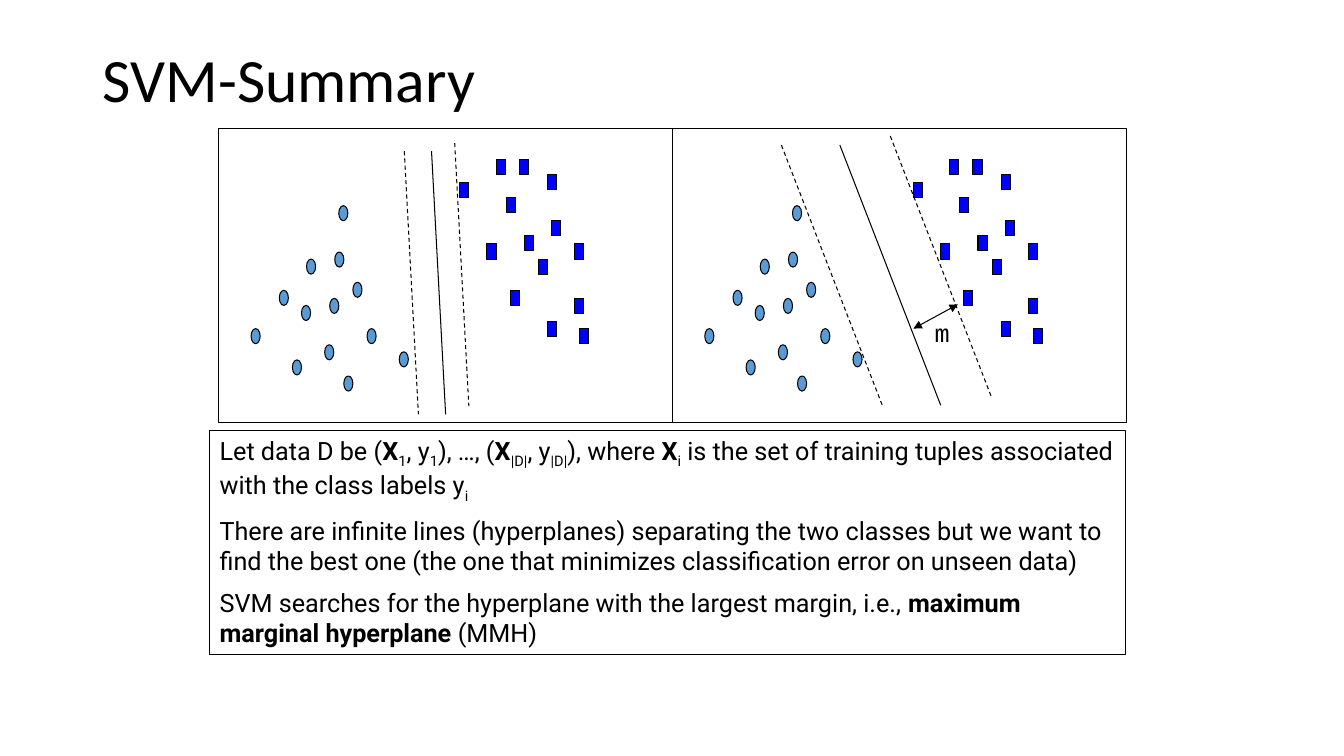
from dataclasses import dataclass
from pptx import Presentation
from pptx.dml.color import RGBColor
from pptx.enum.dml import MSO_LINE
from pptx.enum.shapes import MSO_CONNECTOR, MSO_SHAPE
from pptx.enum.text import MSO_ANCHOR, PP_ALIGN
from pptx.oxml.ns import qn
from pptx.util import Pt
from lxml.etree import SubElement


@dataclass(frozen=True)
class Theme:
    ink: RGBColor = RGBColor(0, 0, 0)
    dot: RGBColor = RGBColor(0x5B, 0x9B, 0xD5)
    box: RGBColor = RGBColor(0, 0, 0xFF)
    head: str = "Calibri"
    body: str = "Roboto"
    mono: str = "Courier New"
    big: int = 44
    text: int = 18
    gap: int = 8
    line: float = 0.75


THEME = Theme()
EMU = 9144
SLIDE = (1333, 750)
TITLE = ("SVM-Summary", (92, 9, 1150, 145))
LABEL = ("m", (917, 310, 58, 40))
NOTE = (208, 427, 908, 222)
PANEL = (217, 127, 450, 292)
MARK = (9, 15)
DOTS = [(73, 230), (82, 176), (32, 199), (60, 161), (105, 215), (87, 130),
        (110, 169), (115, 123), (133, 153), (147, 199), (124, 246),
        (179, 222), (119, 77)]
BOXES = [(266, 115), (239, 54), (275, 31), (289, 161), (285, 69), (303, 107),
         (298, 31), (326, 46), (317, 130), (330, 92), (326, 192), (353, 115),
         (353, 169), (358, 199)]
PLOTS = [
    {"step": (14, 261),
     "lines": [((234, 15), True), ((184, 23), True), ((211, 23), False)]},
    {"step": (100, 258),
     "lines": [((108, 17), True), ((216, 8), True), ((166, 17), False)]},
]
WIDTH = ((906, 326), (950, 302))
NOTES = [
    [("Let data D be (", ""), ("X", "bold"), ("1", "sub"), (", y", ""),
     ("1", "sub"), ("), …, (", ""), ("X", "bold"), ("|D|", "sub"),
     (", y", ""), ("|D|", "sub"), ("), where ", ""), ("X", "bold"),
     ("i", "sub"),
     (" is the set of training tuples associated with the class labels y", ""),
     ("i", "sub")],
    [("There are infinite lines (hyperplanes) separating the two classes but "
      "we want to find the best one (the one that minimizes classification "
      "error on unseen data)", "")],
    [("SVM searches for the hyperplane with the largest margin, i.e., ", ""),
     ("maximum marginal hyperplane", "bold"), (" (MMH)", "")],
]


def emu(nums):
    return [n * EMU for n in nums]


def style(font, name, size):
    font.name = name
    font.size = Pt(size)
    font.color.rgb = THEME.ink


def shape(host, kind, area, fill=None):
    item = host.add_shape(kind, *emu(area))
    item.shadow.inherit = False
    if fill is None:
        item.fill.background()
    else:
        item.fill.solid()
        item.fill.fore_color.rgb = fill
    item.line.color.rgb = THEME.ink
    item.line.width = Pt(THEME.line)
    return item


def rule(host, start, end, dash=False, heads=False):
    item = host.add_connector(MSO_CONNECTOR.STRAIGHT, *emu(start + end))
    item.line.color.rgb = THEME.ink
    item.line.width = Pt(THEME.line)
    if dash:
        item.line.dash_style = MSO_LINE.DASH
    props = item._element.spPr
    if heads:
        for tag in ("a:headEnd", "a:tailEnd"):
            SubElement(props.find(qn("a:ln")), qn(tag), type="triangle")
    SubElement(props, qn("a:effectLst"))


def label(host, words, area, name, size):
    frame = host.add_textbox(*emu(area)).text_frame
    frame.word_wrap = True
    frame.text = words
    style(frame.paragraphs[0].runs[0].font, name, size)
    return frame


def plot(host, left, data):
    top, wide, high = PANEL[1:]
    group = host.add_group_shape().shapes
    for kind, fill, spots in ((MSO_SHAPE.OVAL, THEME.dot, DOTS),
                              (MSO_SHAPE.RECTANGLE, THEME.box, BOXES)):
        for x, y in spots:
            shape(group, kind, (left + x, top + y) + MARK, fill)
    shape(group, MSO_SHAPE.RECTANGLE, (left, top, wide, high))
    for (x, y), dash in data["lines"]:
        start = (left + x, top + y)
        end = (start[0] + data["step"][0], start[1] + data["step"][1])
        rule(group, start, end, dash)


def notes(host):
    frame = shape(host, MSO_SHAPE.RECTANGLE, NOTE).text_frame
    frame.word_wrap = True
    frame.vertical_anchor = MSO_ANCHOR.TOP
    for i, parts in enumerate(NOTES):
        para = frame.add_paragraph() if i else frame.paragraphs[0]
        para.alignment = PP_ALIGN.LEFT
        if i:
            para.space_before = Pt(THEME.gap)
        for words, kind in parts:
            run = para.add_run()
            run.text = words
            style(run.font, THEME.body, THEME.text)
            run.font.bold = kind == "bold"
            if kind == "sub":
                run.font._element.set("baseline", "-25000")


def main():
    deck = Presentation()
    deck.slide_width, deck.slide_height = emu(SLIDE)
    host = deck.slides.add_slide(deck.slide_layouts[6]).shapes
    title = label(host, *TITLE, THEME.head, THEME.big)
    title.vertical_anchor = MSO_ANCHOR.MIDDLE
    title.paragraphs[0].line_spacing = 0.9
    for i, data in enumerate(PLOTS):
        plot(host, PANEL[0] + i * PANEL[2], data)
    rule(host, *WIDTH, heads=True)
    label(host, *LABEL, THEME.mono, THEME.text)
    notes(host)
    deck.save("out.pptx")


if __name__ == "__main__":
    main()
